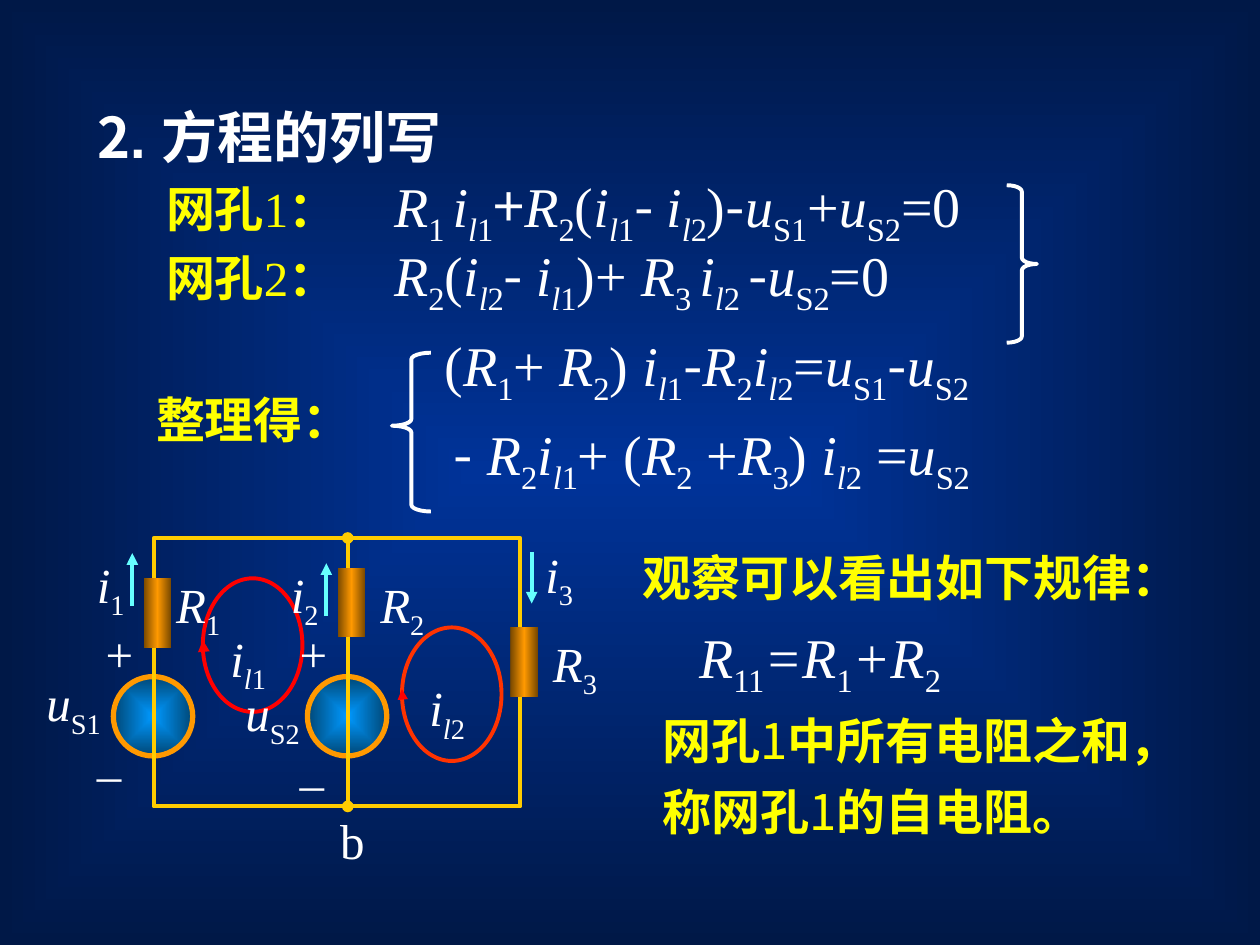
from collections import namedtuple

from lxml import etree
from pptx import Presentation
from pptx.dml.color import RGBColor
from pptx.enum.shapes import MSO_CONNECTOR, MSO_SHAPE
from pptx.enum.text import MSO_ANCHOR, MSO_AUTO_SIZE, PP_ALIGN
from pptx.oxml import parse_xml
from pptx.oxml.ns import nsdecls, qn
from pptx.util import Inches, Pt

STRAIGHT = MSO_CONNECTOR.STRAIGHT
ELLIPSE, RECTANGLE = MSO_SHAPE.OVAL, MSO_SHAPE.RECTANGLE
LEFT_BRACE, RIGHT_BRACE = MSO_SHAPE.LEFT_BRACE, MSO_SHAPE.RIGHT_BRACE

COLORS = {
    "white": "FFFFFF", "yellow": "FFFF00", "wire": "FFCC00", "current": "66FFFF",
    "loop 1": "FF0000", "loop 2": "FF3300", "source edge": "FF9900",
    "glow": "003399", "night": "001847", "source": "0099FF", "source dark": "004776",
    "resistor": "FF9900", "resistor dark": "764700",
}
SERIF, SANS, CJK = "Times New Roman", "Arial", "Noto Sans CJK SC"
WIDTH, HEIGHT = Inches(10), Inches(7.5)
COL, ROW = WIDTH / 100, HEIGHT / 75
FROM_CENTRE = '<a:path path="rect"><a:fillToRect l="50000" t="50000" r="50000" b="50000"/></a:path>'
ACROSS = '<a:lin ang="0" scaled="0"/>'

Box = namedtuple("Box", "left top width height")


def place(box, left, top, width=0, height=0):
    """Turn columns and rows counted from the corner of box into lengths."""
    return (round((box.left + left) * COL), round((box.top + top) * ROW),
            round(width * COL), round(height * ROW))


def rgb(name):
    return RGBColor.from_string(COLORS[name])


# Symbols as runs: i italic, s subscript, b bold, y yellow, c CJK font, a sans font
def resistance(index):
    return [("R", "i"), (index, "s")]


def current(index):
    return [("i", "i"), (index, "s")]


def loop_current(index):
    return [("i", "i"), ("l", "is"), (index, "s")]


def voltage(index):
    return [("u", "i"), ("S" + index, "s")]


MINUS = [("-", "c")]


def add_runs(paragraph, runs, size):
    for content, style in runs:
        run = paragraph.add_run()
        run.text = content
        font = run.font
        font.size = Pt(28 if "y" in style else size)
        font.bold, font.italic = "b" in style, "i" in style
        font.color.rgb = rgb("yellow" if "y" in style else "white")
        font.name = CJK if "c" in style else SANS if "a" in style else SERIF
        properties = run._r.get_or_add_rPr()
        etree.SubElement(properties, qn("a:ea")).set("typeface", CJK)
        if "s" in style:
            properties.set("baseline", "-25000")


def add_text(slide, frame, runs, size=28, wrap=True):
    text = slide.shapes.add_textbox(*frame).text_frame
    text.word_wrap = wrap
    add_runs(text.paragraphs[0], runs, size)
    return text


def set_gradient(fill, element, stops, direction):
    fill.solid()
    solid = next(element.iter(qn("a:solidFill")))
    stop_list = "".join(
        f'<a:gs pos="{position * 1000}"><a:srgbClr val="{COLORS[name]}"/></a:gs>'
        for position, name in stops)
    gradient = parse_xml(f'<a:gradFill {nsdecls("a")} rotWithShape="1">'
                         f'<a:gsLst>{stop_list}</a:gsLst>{direction}</a:gradFill>')
    solid.getparent().replace(solid, gradient)


def add_outline(slide, preset, frame, color, width=2.25):
    shape = slide.shapes.add_shape(preset, *frame)
    shape.shadow.inherit = False
    shape.fill.background()
    shape.line.color.rgb = rgb(color)
    shape.line.width = Pt(width)
    return shape


def add_line(slide, start, end, color, width=2.25, head="none", tail="triangle"):
    line = slide.shapes.add_connector(STRAIGHT, *start[:2], *end[:2])
    line.line.color.rgb = rgb(color)
    line.line.width = Pt(width)
    properties = line._element.spPr
    stroke = properties.find(qn("a:ln"))
    for tag, kind in (("a:headEnd", head), ("a:tailEnd", tail)):
        etree.SubElement(stroke, qn(tag)).set("type", kind)
    etree.SubElement(properties, qn("a:effectLst"))


def add_title(slide, box):
    title = slide.shapes.title
    title.left, title.top, title.width, title.height = place(box, 0, 0, box.width, box.height)
    text = title.text_frame
    text.auto_size, text.word_wrap = MSO_AUTO_SIZE.NONE, True
    text.vertical_anchor = MSO_ANCHOR.TOP
    heading = text.paragraphs[0]
    heading.alignment = PP_ALIGN.LEFT
    add_runs(heading, [("2", "bc"), (". 方程的列写", "ba")], 32)


def add_mesh_equations(slide, box):
    equations = [
        [("R", "i"), ("1 ", "s"), *loop_current("1"), ("+", "c"), *resistance("2"), ("(", ""),
         *loop_current("1"), ("- ", "c"), *loop_current("2"), (")", ""), *MINUS,
         *voltage("1"), ("+", ""), *voltage("2"), ("=0", "")],
        [*resistance("2"), ("(", ""), *loop_current("2"), ("- ", "c"), *loop_current("1"),
         (")+ ", ""), *resistance("3 "), *loop_current("2 "), *MINUS,
         *voltage("2"), ("=0", "")],
    ]
    for row, equation in enumerate(equations):
        label = [("网孔", "ybc"), (str(row + 1), "y"), ("：\t", "yb")]
        text = add_text(slide, place(box, 0, 5.5 * row, 74, 7.1), label + equation, 32)
        tabs = etree.Element(qn("a:tabLst"))
        etree.SubElement(tabs, qn("a:tab"), pos=str(round(18.1 * COL)), algn="l")
        text.paragraphs[0]._p.get_or_add_pPr().append(tabs)
    brace = add_outline(slide, RIGHT_BRACE, place(box, 67.7, 1.6, 2.4, 12.5), "white")
    brace.adjustments[0] = 0.21


def add_arranged_equations(slide, box):
    add_text(slide, place(box, 0, 4.7, 24.4, 5.7), [("整理得：", "yb")])
    first = [("(", ""), *resistance("1"), ("+ ", ""), *resistance("2"), (") ", ""),
             *loop_current("1"), *MINUS, *resistance("2"), *loop_current("2"), ("=", ""),
             *voltage("1"), *MINUS, *voltage("2")]
    second = [*MINUS, (" R", "i"), ("2", "s"), *loop_current("1"), ("+ (", ""),
              *resistance("2"), (" +", ""), *resistance("3"), (") ", ""),
              *loop_current("2"), (" =", ""), *voltage("2")]
    add_text(slide, place(box, 22.9, 0, 50.4, 7.1), first, 32)
    add_text(slide, place(box, 23.6, 7.1, 50.4, 7.1), second, 32)
    brace = add_outline(slide, LEFT_BRACE, place(box, 19.7, 2.3, 3.1, 12.6), "white")
    brace.adjustments[0], brace.adjustments[1] = 0.17, 0.46


def add_rule(slide, box):
    add_text(slide, place(box, 0, 0, box.width, 5.7), [("观察可以看出如下规律：", "ybc")])
    self_resistance = [*resistance("11"), ("=R", "i"), ("1", "s"), ("+R", "i"), ("2", "s")]
    text = add_text(slide, place(box, 1.6, 4.7, 43.3, 19.5), self_resistance, 32)
    meaning = text.add_paragraph()
    add_runs(meaning, [("网孔", "ybc"), ("1", "yc"), ("中所有电阻之和，称网孔", "ybc"),
                       ("1", "yc"), ("的自电阻。", "ybc")], 28)
    for paragraph in text.paragraphs:
        paragraph.line_spacing = 1.2
    text.paragraphs[0]._p.get_or_add_pPr().set("indent", str(round(2.9 * COL)))


def add_circuit(slide, box):
    left_branch, middle_branch, right_branch = 0, 15.4, box.width

    for index, left, top, arrow_width in (("1", 3.9, 3.2, 2.25), ("2", 19.7, 7.1, 0.75)):
        add_outline(slide, ELLIPSE, place(box, left, top, 7.9, 10.6), "loop " + index)
        add_text(slide, place(box, left + 1.2, top + 3.5, 5.7, 6.3), loop_current(index))
        add_line(slide, place(box, left + 0.05, top + 5.5), place(box, left, top + 4.9),
                 "loop 1", arrow_width)

    for branch, minus_top in ((left_branch, 15.8), (middle_branch, 16.5)):
        source = add_outline(slide, ELLIPSE, place(box, branch - 3.2, 11, 6.3, 6.3),
                             "source edge", 3)
        set_gradient(source.fill, source._element,
                     [(0, "source"), (100, "source dark")], FROM_CENTRE)
        add_text(slide, place(box, branch - 4.8, 6.3, 3.7, 5.7), [("+", "")])
        add_text(slide, place(box, branch - 4.8, minus_top, 3.9, 5.7)
                 if branch else place(box, -5.5, minus_top, 3.9, 5.7), [("–", "")])

    for x, start, end in ((-1.7, 5.4, 1.2), (13.7, 6.2, 2), (30, 1.1, 5.2)):
        add_line(slide, place(box, x, start), place(box, x, end), "current")

    add_outline(slide, RECTANGLE, place(box, 0, 0, box.width, box.height), "wire")
    add_line(slide, place(box, middle_branch, 0), place(box, middle_branch, box.height),
             "wire", head="oval", tail="oval")

    for branch, top in ((left_branch, 3.2), (middle_branch, 2.4), (right_branch, 7.1)):
        resistor = add_outline(slide, RECTANGLE, place(box, branch - 0.8, top, 2.2, 5.5), "wire")
        resistor.line.fill.background()
        set_gradient(resistor.fill, resistor._element,
                     [(0, "resistor dark"), (50, "resistor"), (100, "resistor dark")], ACROSS)

    labels = [
        (current("1"), -5.5, 0.8, 4.9), (current("2"), 9.9, 1.6, 4.9),
        (current("3"), 30.1, 0, 6.5),
        (voltage("1"), -9.5, 10.2, 7.8), (voltage("2"), 6.3, 11, 9.4),
        (resistance("1"), 0.8, 2.4, 7), (resistance("2"), 17, 2.4, 7.4),
        (resistance("3"), 30.7, 7.1, 7),
    ]
    for symbol, left, top, width in labels:
        add_text(slide, place(box, left, top, width, 6.3), symbol)
    add_text(slide, place(box, 13.8, 21.1, 3.9, 5.7), [("b", "")], wrap=False)


def main():
    deck = Presentation()
    deck.slide_width, deck.slide_height = WIDTH, HEIGHT
    slide = deck.slides.add_slide(deck.slide_layouts[5])
    set_gradient(slide.background.fill, slide._element,
                 [(0, "glow"), (100, "night")], FROM_CENTRE)
    add_title(slide, Box(6.7, 7.6, 33.9, 6.4))
    add_mesh_equations(slide, Box(12.2, 13.1, 74, 14.1))
    add_arranged_equations(slide, Box(11.4, 25.7, 74, 14.9))
    add_rule(slide, Box(50, 43, 48.4, 24.2))
    add_circuit(slide, Box(12.2, 42.7, 29.1, 21.3))
    deck.save("out.pptx")


if __name__ == "__main__":
    main()
